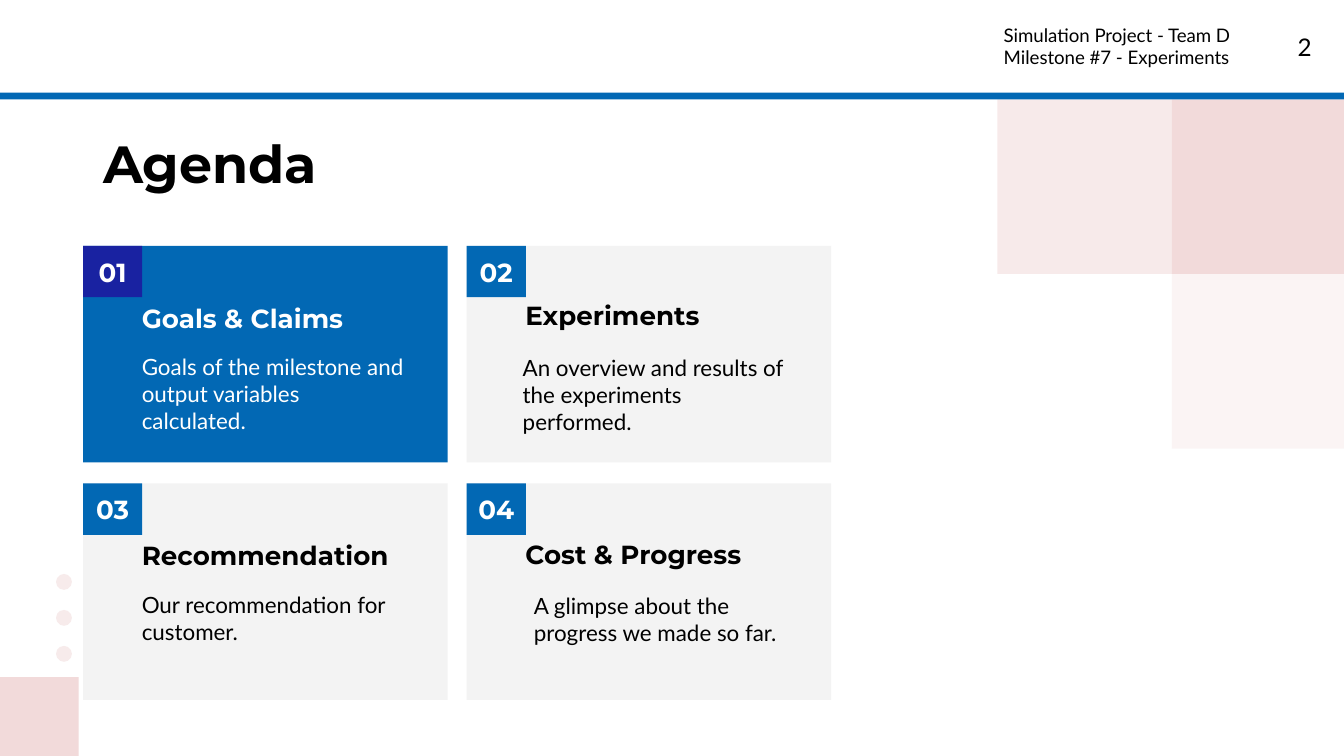
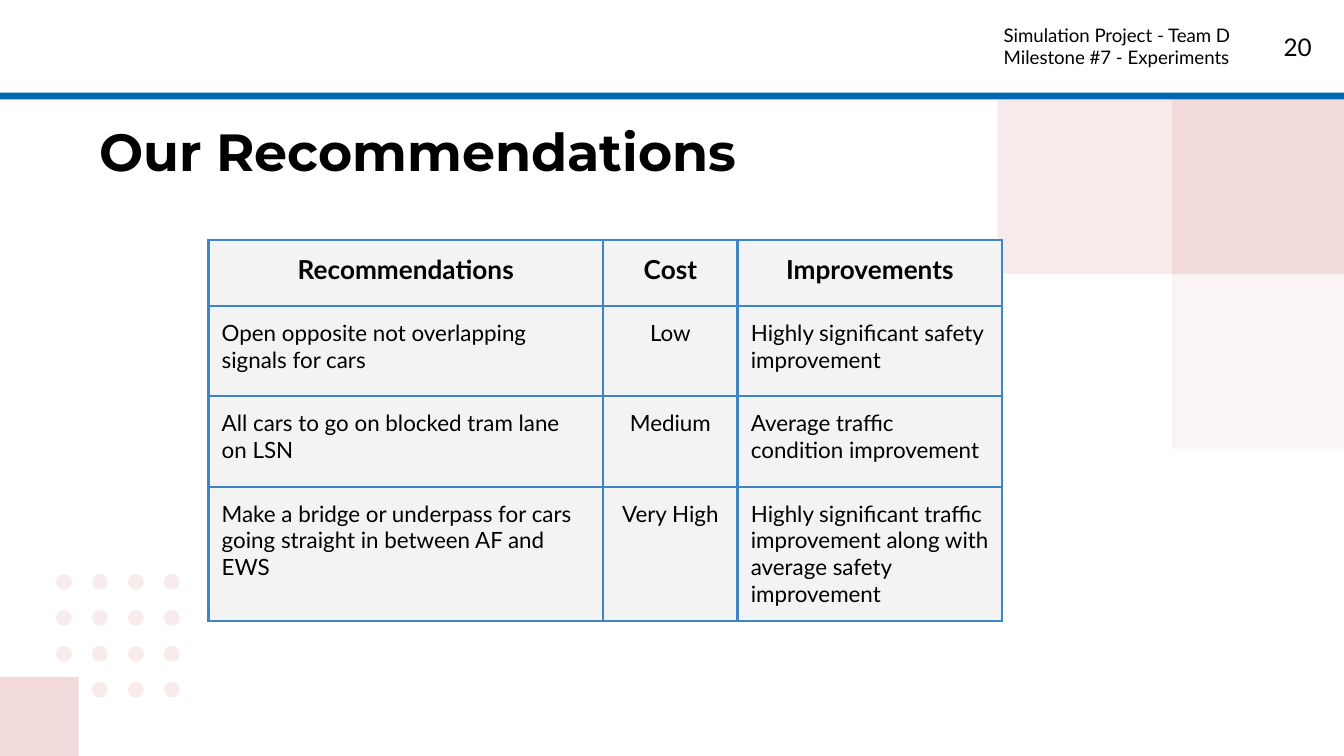
from lxml import etree
from pptx import Presentation
from pptx.dml.color import RGBColor
from pptx.enum.shapes import MSO_SHAPE as SHAPE
from pptx.enum.text import MSO_ANCHOR as ANCHOR, PP_ALIGN as ALIGN
from pptx.oxml.ns import qn
from pptx.util import Cm, Pt

# Content
HEADER = ["Simulation Project - Team D", "Milestone #7 - Experiments"]

# number, heading, its top in the card, body, its left and top in the card
AGENDA = [
    ("01", "Goals & Claims", 0.81,
     "Goals of the milestone and output variables calculated.", 0.86, 1.78),
    ("02", "Experiments", 0.76,
     "An overview and results of the experiments performed.", 0.81, 1.8),
    ("03", "Recommendation", 0.81,
     "Our recommendation for customer.", 0.86, 1.78),
    ("04", "Cost & Progress", 0.79,
     "A glimpse about the progress we made so far.", 1.02, 1.8),
]

RECOMMENDATIONS = [
    ("Recommendations", "Cost", "Improvements"),
    ("Open opposite not overlapping signals for cars", "Low",
     "Highly significant safety improvement"),
    ("All cars to go on blocked tram lane on LSN", "Medium",
     "Average traffic condition improvement"),
    ("Make a bridge or underpass for cars going straight in between AF and EWS",
     "Very High",
     "Highly significant traffic improvement along with average safety improvement"),
]

# Style
WHITE = RGBColor(0xFF, 0xFF, 0xFF)
BLACK = RGBColor(0x00, 0x00, 0x00)
BLUE = RGBColor(0x02, 0x68, 0xB4)
NAVY = RGBColor(0x19, 0x22, 0xA1)
GREY = RGBColor(0xF3, 0xF3, 0xF3)
PINK = RGBColor(0xF2, 0xDA, 0xDA)
PALE_PINK = RGBColor(0xF7, 0xEB, 0xEB)
BORDER = RGBColor(0x3D, 0x85, 0xC6)
HEAD_FONT, BODY_FONT = "Montserrat", "Lato"

# Measures in centimetres
WIDTH, HEIGHT = 25.4, 14.29
INSET = 0.25
BAND_TOP, BAND_H = 1.75, 0.13
SQUARE, CORNER = 3.3, 1.49
DOT, DOT_LEFT, DOT_TOP, DOT_PITCH = 0.3, 1.06, 10.85, 0.68
CARD_LEFT, CARD_TOP, CARD_W, CARD_H = 1.57, 4.65, 6.89, 4.09
CARD_PITCH_X, CARD_PITCH_Y = 7.25, 4.49
BADGE_W, BADGE_H = 1.12, 0.97
COLUMNS = [7.46, 2.54, 5]
ROWS = [1.24, 1.71, 1.71, 2.29]


def style(p, size, font=BODY_FONT, color=BLACK, bold=False, align=None, after=None):
    p.font.size, p.font.name, p.font.bold = Pt(size), font, bold
    p.font.color.rgb = color
    if align is not None:
        p.alignment = align
    if after is not None:
        p.space_after = Pt(after)


def set_insets(target, x=INSET, y=INSET):
    target.margin_left = target.margin_right = Cm(x)
    target.margin_top = target.margin_bottom = Cm(y)


def add_box(s, x, y, w, h, color, kind=SHAPE.RECTANGLE, opacity=100):
    sp = s.shapes.add_shape(kind, Cm(x), Cm(y), Cm(w), Cm(h))
    sp.shadow.inherit = False
    sp.line.fill.background()
    sp.fill.solid()
    sp.fill.fore_color.rgb = color
    if opacity < 100:
        clr = sp.fill._xPr.find(qn("a:solidFill"))[0]
        etree.SubElement(clr, qn("a:alpha"), val=str(opacity * 1000))
    return sp


def add_text(s, x, y, w, h, lines, size, **look):
    tf = s.shapes.add_textbox(Cm(x), Cm(y), Cm(w), Cm(h)).text_frame
    tf.word_wrap = True
    set_insets(tf)
    tf.text = "\n".join(lines)
    for p in tf.paragraphs:
        style(p, size, **look)


def add_slide(prs, title, title_at, number, dot_columns):
    s = prs.slides.add_slide(prs.slide_layouts[6])
    # Dot grid, without the dot nearest the corner square
    for row in range(4):
        for col in range(dot_columns):
            if (row, col) != (3, 0):
                add_box(s, DOT_LEFT + col * DOT_PITCH, DOT_TOP + row * DOT_PITCH,
                        DOT, DOT, PALE_PINK, SHAPE.OVAL)
    # Pink squares
    right, top = 22.15, BAND_TOP + BAND_H
    add_box(s, 0, HEIGHT - CORNER, CORNER, CORNER, PINK)
    add_box(s, right, top, SQUARE, SQUARE, PINK)
    add_box(s, right, top + SQUARE, SQUARE, SQUARE, PINK, opacity=28)
    add_box(s, right - SQUARE, top, SQUARE, SQUARE, PINK, opacity=55)
    # Header band, title, page number and project name
    add_box(s, 0, 0, WIDTH, BAND_TOP, WHITE)
    add_box(s, 0, BAND_TOP, WIDTH, BAND_H, BLUE)
    add_text(s, *title_at, 1.6, [title], 28, font=HEAD_FONT, bold=True)
    add_text(s, 23.52, 0.36, 1.52, 1.09, [number], 13, align=ALIGN.RIGHT)
    add_text(s, 18.72, 0.2, 5.28, 1.32, HEADER, 10)
    return s


def add_card(s, index, number, heading, heading_top, body, body_left, body_top):
    row, col = divmod(index, 2)
    x, y = CARD_LEFT + col * CARD_PITCH_X, CARD_TOP + row * CARD_PITCH_Y
    active = index == 0
    ink = WHITE if active else BLACK
    add_box(s, x, y, CARD_W, CARD_H, BLUE if active else GREY)
    badge = add_box(s, x, y, BADGE_W, BADGE_H, NAVY if active else BLUE)
    tf = badge.text_frame
    tf.vertical_anchor = ANCHOR.MIDDLE
    set_insets(tf, x=0)
    tf.text = number
    style(tf.paragraphs[0], 14, HEAD_FONT, WHITE, True, ALIGN.CENTER)
    add_text(s, x + 0.86, y + heading_top, 5.28, 0.97, [heading], 14,
             font=HEAD_FONT, color=ink, bold=True, after=8)
    add_text(s, x + body_left, y + body_top, 5.56, 1.4, [body], 12,
             color=ink, after=8)


def set_borders(cell):
    tcPr = cell._tc.get_or_add_tcPr()
    for side in ("a:lnL", "a:lnR", "a:lnT", "a:lnB"):
        ln = etree.SubElement(tcPr, qn(side), w=str(Pt(1.5)))
        fill = etree.SubElement(ln, qn("a:solidFill"))
        etree.SubElement(fill, qn("a:srgbClr"), val=str(BORDER))


def add_recommendations(s):
    table = s.shapes.add_table(len(ROWS), len(COLUMNS), Cm(3.94), Cm(4.54),
                               Cm(sum(COLUMNS)), Cm(sum(ROWS))).table
    for column, width in zip(table.columns, COLUMNS):
        column.width = Cm(width)
    for row, height in zip(table.rows, ROWS):
        row.height = Cm(height)
    for i, texts in enumerate(RECOMMENDATIONS):
        for j, text in enumerate(texts):
            cell = table.cell(i, j)
            set_borders(cell)
            cell.fill.solid()
            cell.fill.fore_color.rgb = GREY
            set_insets(cell)
            cell.text = text
            head = i == 0
            style(cell.text_frame.paragraphs[0], 14 if head else 12, bold=head,
                  align=ALIGN.CENTER if head or j == 1 else ALIGN.LEFT)


def main():
    prs = Presentation()
    prs.slide_width, prs.slide_height = Cm(WIDTH), Cm(HEIGHT)

    # Agenda: the cards cover all but the first column of dots
    s = add_slide(prs, "Agenda", (1.7, 2.24, 21.44), "2", dot_columns=1)
    for index, item in enumerate(AGENDA):
        add_card(s, index, *item)

    # Recommendations
    s = add_slide(prs, "Our Recommendations", (1.63, 2.01, 19.3), "20", dot_columns=4)
    add_recommendations(s)

    prs.save("out.pptx")


if __name__ == "__main__":
    main()
